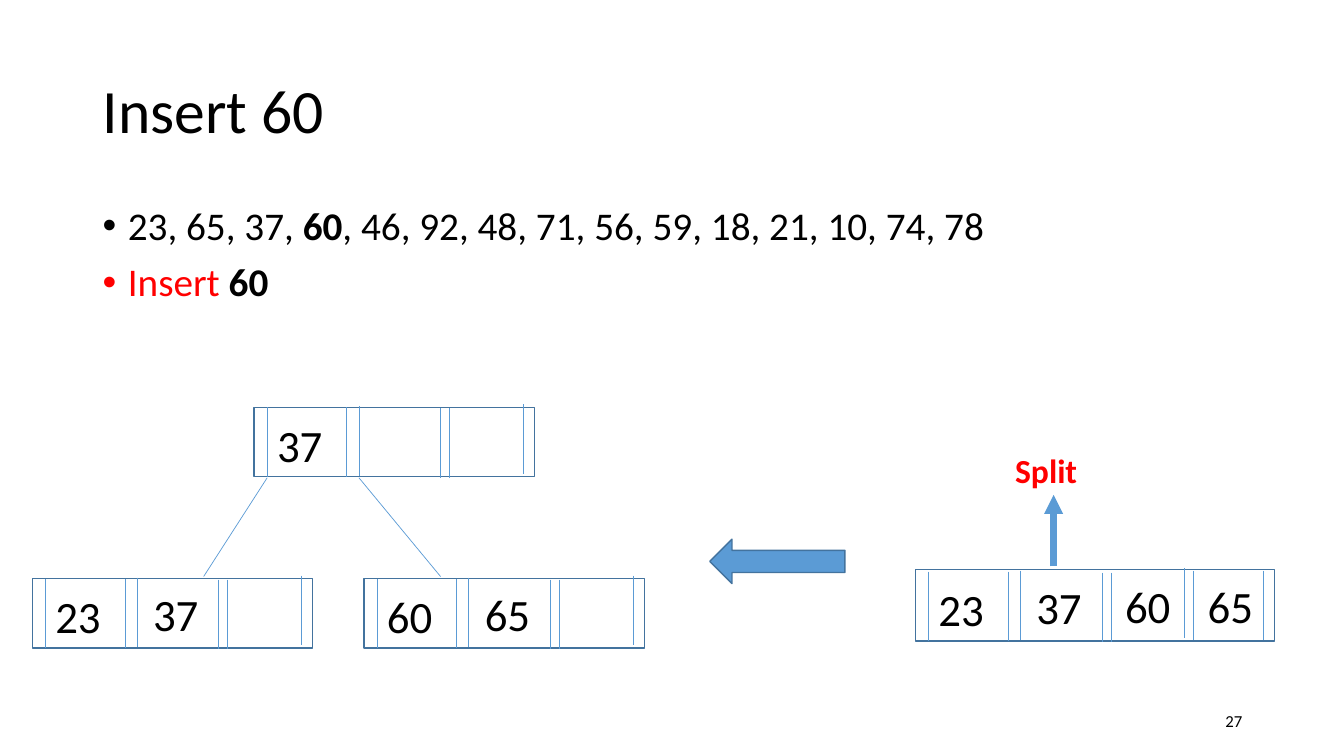
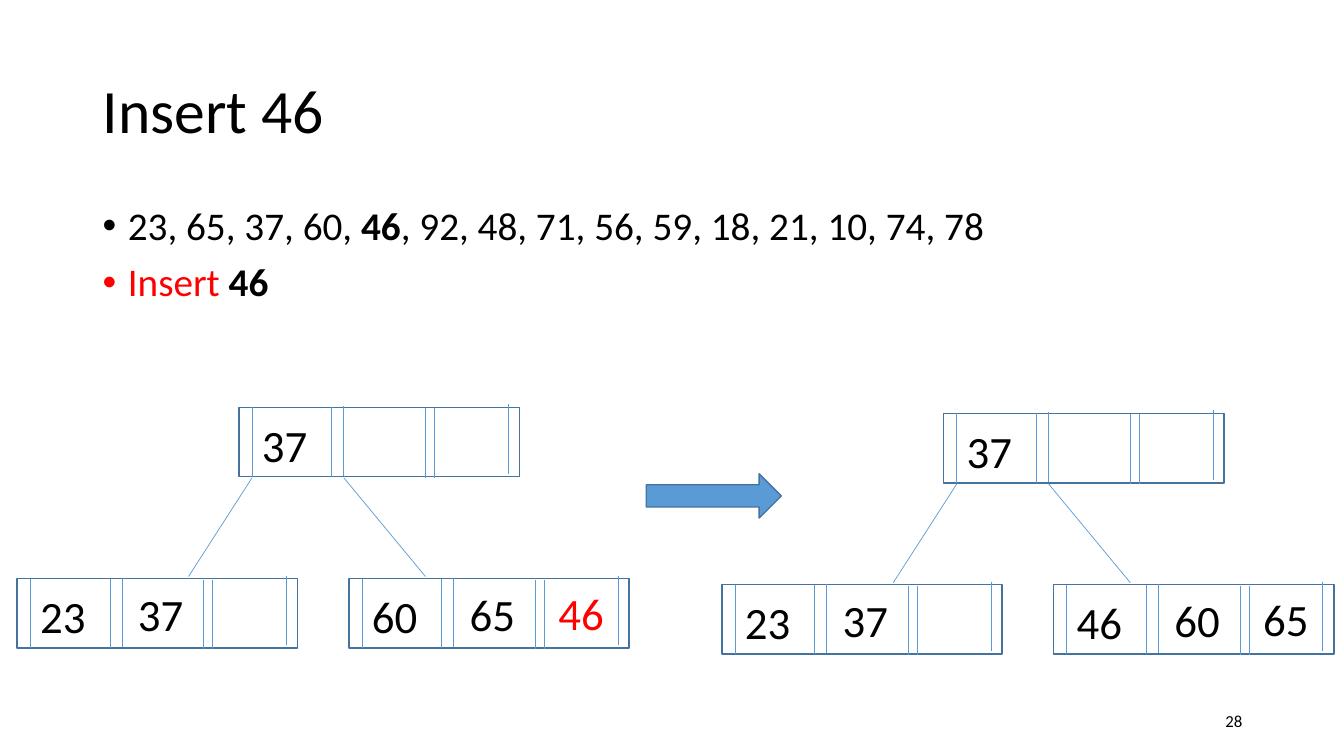
from dataclasses import dataclass

import lxml.etree
import pptx
import pptx.dml.color
import pptx.enum.shapes
import pptx.enum.text
import pptx.oxml.ns
import pptx.shapes.connector
import pptx.slide
import pptx.text.text
import pptx.util
from pptx.util import Inches

FONT = "Calibri"
BLACK, RED, BLUE, OUTLINE = "000000", "FF0000", "5B9BD5", "43739E"
SEQUENCE = (23, 65, 37, 60, 46, 92, 48, 71, 56, 59, 18, 21, 10, 74, 78)

NODE_WIDTH, NODE_HEIGHT = 2.78, 0.69
FULL_WIDTH, FULL_HEIGHT, FULL_INSET = 3.56, 0.71, 0.02
SEPARATOR_HEIGHT = 0.69
# Offsets (x, y) from the top left corner of a node
SEPARATORS = ((0.13, 0), (0.92, 0), (1.04, -0.01), (1.85, 0.01), (1.94, 0.01), (2.67, -0.03))
FULL_SEPARATORS = SEPARATORS + ((2.76, -0.01), (3.45, -0.01))
KEY_OFFSETS = ((0.13, 0.05), (1.1, 0.03), (1.98, 0.02), (2.8, 0.02))


@dataclass(frozen=True)
class Box:
    left: float
    top: float
    width: float
    height: float

    def lengths(self) -> tuple[int, ...]:
        return tuple(Inches(value) for value in (self.left, self.top, self.width, self.height))


@dataclass(frozen=True)
class Run:
    text: str
    color: str = BLACK
    bold: bool = False


@dataclass(frozen=True)
class Node:
    left: float
    top: float
    keys: tuple[int, ...]
    new_key: int | None = None


@dataclass(frozen=True)
class Tree:
    """A root node with two leaves; left and top place the root."""
    left: float
    top: float
    root_key: int
    left_keys: tuple[int, ...]
    right_keys: tuple[int, ...]
    new_key: int | None = None


@dataclass(frozen=True)
class StepSlide:
    inserted: int
    number: int
    trees: tuple[Tree, ...]
    arrow: Box
    arrow_kind: pptx.enum.shapes.MSO_SHAPE
    split: Node | None = None


TITLE_BOX = Box(0.92, 0.4, 11.5, 1.45)
BODY_BOX = Box(0.92, 2, 11.5, 1.31)
NUMBER_BOX = Box(9.42, 6.95, 3, 0.4)
SPLIT_BOX = Box(9.97, 4.41, 0.96, 0.5)

STEPS = (
    StepSlide(
        60, 27, (Tree(2.52, 4.04, 37, (23, 37), (60, 65)),),
        Box(7.04, 5.35, 1.34, 0.44), pptx.enum.shapes.MSO_SHAPE.LEFT_ARROW,
        Node(9.08, 5.65, (23, 37, 60, 65)),
    ),
    StepSlide(
        46, 28,
        (Tree(2.37, 4.04, 37, (23, 37), (60, 65, 46), 46),
         Tree(9.36, 4.1, 37, (23, 37), (46, 60, 65))),
        Box(6.41, 4.7, 1.34, 0.44), pptx.enum.shapes.MSO_SHAPE.RIGHT_ARROW,
    ),
)


def rgb(color: str) -> pptx.dml.color.RGBColor:
    return pptx.dml.color.RGBColor.from_string(color)


def add_runs(paragraph: pptx.text.text._Paragraph, runs: tuple[Run, ...], size: float) -> None:
    for item in runs:
        run = paragraph.add_run()
        run.text = item.text
        run.font.color.rgb = rgb(item.color)
        values = {"name": FONT, "size": pptx.util.Pt(size), "bold": item.bold}
        for name, value in values.items():
            setattr(run.font, name, value)


def add_text(shapes, box: Box, runs: tuple[Run, ...], size: float,
             frame_format: dict | None = None, paragraph_format: dict | None = None,
             ) -> pptx.text.text.TextFrame:
    frame = shapes.add_textbox(*box.lengths()).text_frame
    paragraph = frame.paragraphs[0]
    add_runs(paragraph, runs, size)
    formats = ((frame, {"word_wrap": True} | (frame_format or {})),
               (paragraph, paragraph_format or {}))
    for target, values in formats:
        for name, value in values.items():
            setattr(target, name, value)
    return frame


def add_label(shapes, box: Box, run: Run, size: float) -> None:
    """Add a text box that grows with its text."""
    add_text(shapes, box, (run,), size,
             {"auto_size": pptx.enum.text.MSO_AUTO_SIZE.SHAPE_TO_FIT_TEXT})


def add_bullet(paragraph: pptx.text.text._Paragraph) -> None:
    paragraph.line_spacing = 0.9
    paragraph.space_before = pptx.util.Pt(10)
    properties = paragraph._p.get_or_add_pPr()
    properties.set("marL", str(Inches(0.25)))
    properties.set("indent", str(Inches(-0.25)))
    for tag, name, value in (("a:buFont", "typeface", "Arial"), ("a:buChar", "char", "•")):
        lxml.etree.SubElement(properties, pptx.oxml.ns.qn(tag)).set(name, value)


def add_line(shapes, start: tuple[float, float], end: tuple[float, float],
             width: float = 0.5) -> pptx.shapes.connector.Connector:
    connector = shapes.add_connector(
        pptx.enum.shapes.MSO_CONNECTOR.STRAIGHT, *(Inches(value) for value in start + end))
    connector.line.color.rgb = rgb(BLUE)
    connector.line.width = pptx.util.Pt(width)
    lxml.etree.SubElement(connector._element.spPr, pptx.oxml.ns.qn("a:effectLst"))
    return connector


def add_outlined_shape(shapes, kind: pptx.enum.shapes.MSO_SHAPE, box: Box,
                       fill: str | None = None) -> None:
    shape = shapes.add_shape(kind, *box.lengths())
    shape.shadow.inherit = False
    shape.line.color.rgb = rgb(OUTLINE)
    shape.line.width = pptx.util.Pt(1)
    if fill:
        shape.fill.solid()
        shape.fill.fore_color.rgb = rgb(fill)
    else:
        shape.fill.background()


def add_node(slide: pptx.slide.Slide, node: Node) -> None:
    """Draw a three-key node, or the wider overfull one for four keys."""
    full = len(node.keys) > 3
    width, height = (FULL_WIDTH, FULL_HEIGHT) if full else (NODE_WIDTH, NODE_HEIGHT)
    content_top = node.top + (FULL_INSET if full else 0)
    shapes = slide.shapes.add_group_shape().shapes
    add_outlined_shape(shapes, pptx.enum.shapes.MSO_SHAPE.RECTANGLE,
                       Box(node.left, node.top, width, height))
    for across, down in FULL_SEPARATORS if full else SEPARATORS:
        x, y = node.left + across, content_top + down
        add_line(shapes, (x, y), (x, y + SEPARATOR_HEIGHT))
    for key, (across, down) in zip(node.keys, KEY_OFFSETS):
        color = RED if key == node.new_key else BLACK
        add_label(shapes, Box(node.left + across, content_top + down, 0.8, 0.64),
                  Run(str(key), color), 32)


def add_tree(slide: pptx.slide.Slide, tree: Tree) -> None:
    leaf_top = tree.top + 1.7
    add_node(slide, Node(tree.left, tree.top, (tree.root_key,)))
    add_node(slide, Node(tree.left - 2.2, leaf_top, tree.left_keys, tree.new_key))
    add_node(slide, Node(tree.left + 1.09, leaf_top, tree.right_keys, tree.new_key))
    for start, end in ((0.13, -0.5), (1.04, 1.85)):
        add_line(slide.shapes, (tree.left + start, tree.top + 0.7),
                 (tree.left + end, tree.top + 1.68))


def add_split(slide: pptx.slide.Slide, node: Node) -> None:
    add_node(slide, node)
    add_label(slide.shapes, SPLIT_BOX, Run("Split", RED, True), 24)
    connector = add_line(slide.shapes, (10.45, 5.62), (10.45, 4.91), 4.5)
    arrowhead = lxml.etree.SubElement(
        connector.line._get_or_add_ln(), pptx.oxml.ns.qn("a:tailEnd"))
    arrowhead.set("type", "triangle")


def add_frame(slide: pptx.slide.Slide, step: StepSlide) -> None:
    """Add the title, the bullets and the slide number."""
    middle = {"vertical_anchor": pptx.enum.text.MSO_ANCHOR.MIDDLE}
    add_text(slide.shapes, TITLE_BOX, (Run(f"Insert {step.inserted}"),), 44,
             middle, {"line_spacing": 0.9})
    position = SEQUENCE.index(step.inserted)
    before = "".join(f"{key}, " for key in SEQUENCE[:position])
    after = "".join(f", {key}" for key in SEQUENCE[position + 1:])
    inserted = Run(str(step.inserted), bold=True)
    body = add_text(slide.shapes, BODY_BOX, (Run(before), inserted, Run(after)), 28)
    add_runs(body.add_paragraph(), (Run("Insert ", RED), inserted), 28)
    for paragraph in body.paragraphs:
        add_bullet(paragraph)
    add_text(slide.shapes, NUMBER_BOX, (Run(str(step.number)),), 12,
             middle, {"alignment": pptx.enum.text.PP_ALIGN.RIGHT})


def main() -> None:
    presentation = pptx.Presentation()
    presentation.slide_width, presentation.slide_height = Inches(13.33), Inches(7.5)
    for step in STEPS:
        slide = presentation.slides.add_slide(presentation.slide_layouts[6])
        add_frame(slide, step)
        for tree in step.trees:
            add_tree(slide, tree)
        add_outlined_shape(slide.shapes, step.arrow_kind, step.arrow, BLUE)
        if step.split:
            add_split(slide, step.split)
    presentation.save("out.pptx")


if __name__ == "__main__":
    main()
